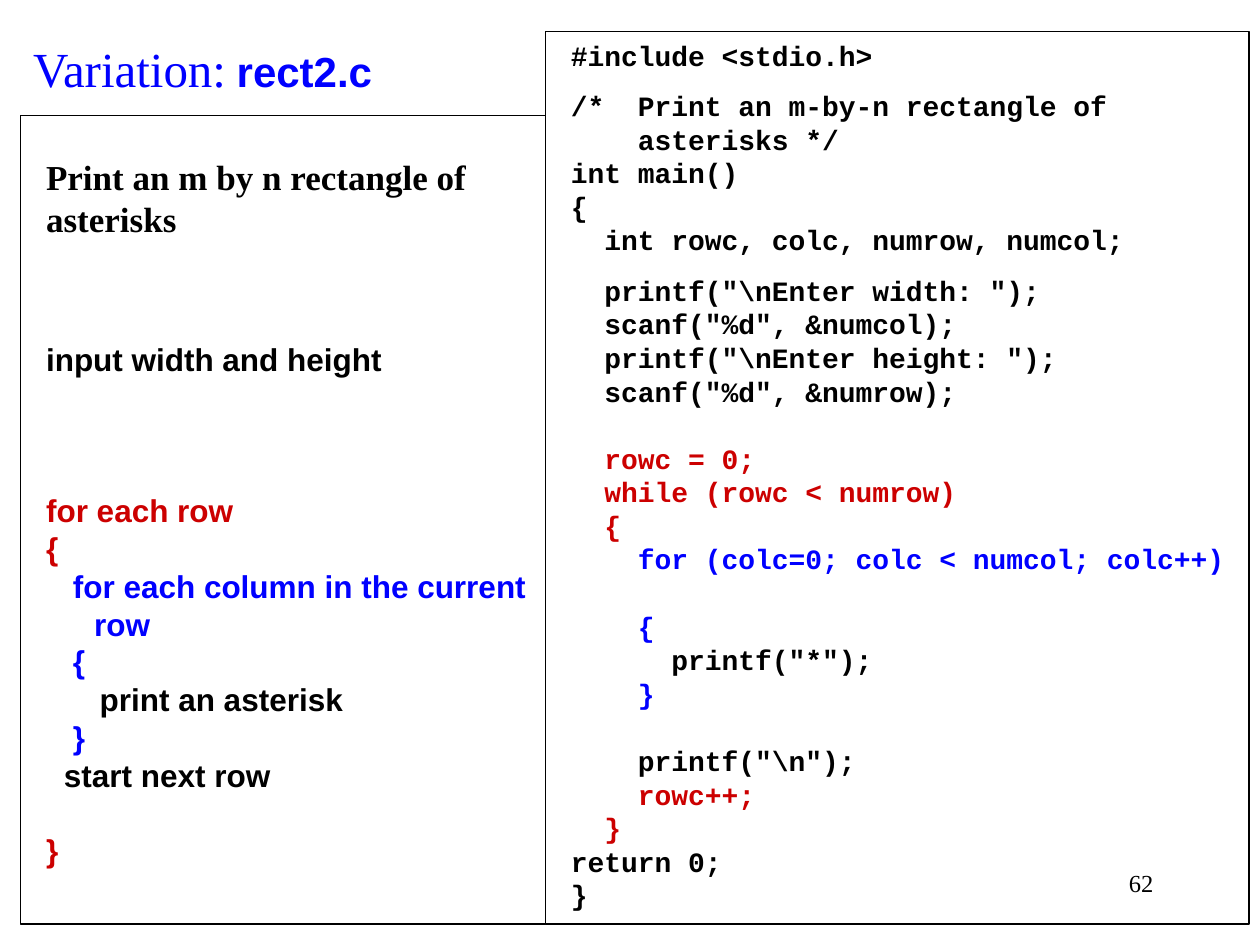
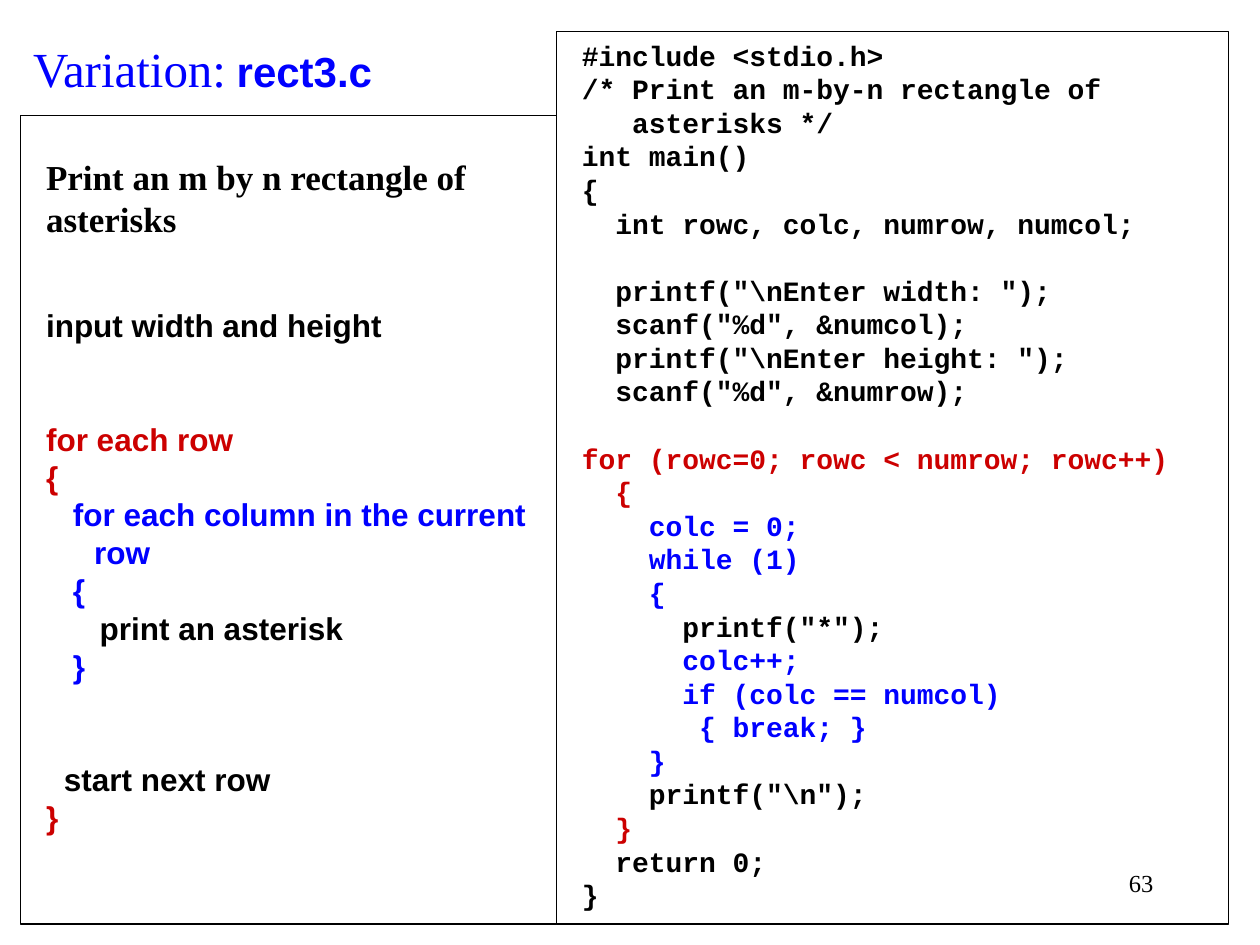
from pptx import Presentation
from pptx.dml.color import RGBColor
from pptx.enum.shapes import MSO_SHAPE
from pptx.enum.text import MSO_ANCHOR, PP_ALIGN
from pptx.util import Cm, Pt

COLOURS = {"ink": "000000", "outer": "CC0000", "inner": "0000FF"}
SERIF, SANS, MONO = "Times New Roman", "Arial", "Courier New"
LEADING = 1.2       # line height as a multiple of the text size
HANGING = 0.97      # cm
SPACE = 0.18        # cm, one step of pseudocode indentation
PANEL_LEFT, PANELS_BOTTOM = 0.42, 18.63
PANEL_TOP, CODE_TOP = 2.33, 0.64

# Pseudocode: gap name, indent steps, text, colour, font, size
PSEUDOCODE = [
    ("", 0, "Print an m by n rectangle of", "ink", SERIF, 20),
    ("", 0, "asterisks", "ink", SERIF, 20),
    ("input", 0, "input width and height", "ink", SANS, 18),
    ("rows", 0, "for each row", "outer", SANS, 18),
    ("", 0, "{", "outer", SANS, 18),
    ("", 3, "for each column in the current row", "inner", SANS, 18),
    ("", 3, "{", "inner", SANS, 18),
    ("", 6, "print an asterisk", "ink", SANS, 18),
    ("", 3, "}", "inner", SANS, 18),
    ("next", 2, "start next row", "ink", SANS, 18),
    ("end", 0, "}", "outer", SANS, 18),
]

# Code lines: text, colour, gap above in lines
INPUT_CODE = [
    ("  scanf(\"%d\", &numcol);", "ink", 0),
    ("  printf(\"\\nEnter height: \");", "ink", 0),
    ("  scanf(\"%d\", &numrow);", "ink", 0),
]
MAIN_CODE = [
    ("int main()", "ink", 0),
    ("{", "ink", 0),
    ("  int rowc, colc, numrow, numcol;", "ink", 0),
]
WIDTH_PROMPT = "  printf(\"\\nEnter width: \");"

RECT2_CODE = [
    ("#include <stdio.h>", "ink", 0),
    ("/*  Print an m-by-n rectangle of", "ink", 0.5),
    ("    asterisks */", "ink", 0),
    *MAIN_CODE,
    (WIDTH_PROMPT, "ink", 0.5),
    *INPUT_CODE,
    ("  rowc = 0;", "outer", 1),
    ("  while (rowc < numrow)", "outer", 0),
    ("  {", "outer", 0),
    ("    for (colc=0; colc < numcol; colc++)", "inner", 0),
    ("    {", "inner", 1),
    ("      printf(\"*\");", "ink", 0),
    ("    }", "inner", 0),
    ("    printf(\"\\n\");", "ink", 1),
    ("    rowc++;", "outer", 0),
    ("  }", "outer", 0),
    ("return 0;", "ink", 0),
    ("}", "ink", 0),
]
RECT3_CODE = [
    ("#include <stdio.h>", "ink", 0),
    ("/* Print an m-by-n rectangle of", "ink", 0),
    ("   asterisks */", "ink", 0),
    *MAIN_CODE,
    (WIDTH_PROMPT, "ink", 1),
    *INPUT_CODE,
    ("for (rowc=0; rowc < numrow; rowc++)", "outer", 1),
    ("  {", "outer", 0),
    ("    colc = 0;", "inner", 0),
    ("    while (1)", "inner", 0),
    ("    {", "inner", 0),
    ("      printf(\"*\");", "ink", 0),
    ("      colc++;", "inner", 0),
    ("      if (colc == numcol)", "inner", 0),
    ("       { break; }", "inner", 0),
    ("    }", "inner", 0),
    ("    printf(\"\\n\");", "ink", 0),
    ("  }", "outer", 0),
    ("  return 0;", "ink", 0),
    ("}", "ink", 0),
]

# Pages: file, number, code left and width in cm, code, pseudocode gaps in points
PAGES = [
    ("rect2.c", "62", 11, 14.18, RECT2_CODE,
     {"input": 57.6, "rows": 64.8, "end": 21.6}),
    ("rect3.c", "63", 11.22, 13.55, RECT3_CODE,
     {"input": 38.4, "rows": 43.2, "next": 43.2}),
]


def add_box(page, left, top, width, height, framed=False, inset_top=0.13):
    """Add a framed panel or a plain text box and return its text frame."""
    area = Cm(left), Cm(top), Cm(width), Cm(height)
    if framed:
        box = page.shapes.add_shape(MSO_SHAPE.RECTANGLE, *area)
        box.shadow.inherit = False
        box.fill.background()
        box.line.color.rgb = RGBColor.from_string(COLOURS["ink"])
        box.line.width = Pt(0.75)
    else:
        box = page.shapes.add_textbox(*area)
    frame = box.text_frame
    frame.word_wrap = True
    frame.vertical_anchor = MSO_ANCHOR.TOP
    frame.margin_left = Cm(0.51 if framed else 0.25)
    frame.margin_right = Cm(0.25)
    frame.margin_top = Cm(inset_top)
    frame.margin_bottom = Cm(0.13)
    return frame


def add_line(frame, spans, gap=0, indent=None, align=PP_ALIGN.LEFT):
    """Add a paragraph of (text, font, size, colour, bold) spans."""
    para = frame.paragraphs[0]
    if para.runs:
        para = frame.add_paragraph()
    para.alignment = align
    para.line_spacing = Pt(LEADING * max(size for _, _, size, _, _ in spans))
    if gap:
        para.space_before = Pt(gap)
    if indent is not None:
        properties = para._p.get_or_add_pPr()
        properties.set("marL", str(Cm(HANGING)))
        properties.set("indent", str(Cm(indent - HANGING)))
    for text, font, size, colour, bold in spans:
        span = para.add_run()
        span.text = text
        span.font.name = font
        span.font.size = Pt(size)
        span.font.bold = bold
        span.font.color.rgb = RGBColor.from_string(COLOURS[colour])


deck = Presentation()
deck.slide_width, deck.slide_height = Cm(25.4), Cm(19.05)

for file_name, number, code_left, code_width, code, gaps in PAGES:
    page = deck.slides.add_slide(deck.slide_layouts[6])

    # Code panel
    frame = add_box(page, code_left, CODE_TOP, code_width,
                    PANELS_BOTTOM - CODE_TOP, framed=True)
    for text, colour, blank_lines in code:
        add_line(frame, [(text, MONO, 16, colour, True)],
                 gap=blank_lines * 16 * LEADING, indent=0)

    # Title
    frame = add_box(page, PANEL_LEFT, CODE_TOP, 8.26, 1.45)
    add_line(frame, [("Variation:", SERIF, 28, "inner", False),
                     (" ", SERIF, 24, "inner", False),
                     (file_name, SANS, 24, "inner", True)])

    # Pseudocode panel, which ends where the code panel starts
    frame = add_box(page, PANEL_LEFT, PANEL_TOP, code_left - PANEL_LEFT,
                    PANELS_BOTTOM - PANEL_TOP, framed=True, inset_top=0.8)
    for gap_name, steps, text, colour, font, size in PSEUDOCODE:
        add_line(frame, [(text, font, size, colour, True)],
                 gap=gaps.get(gap_name, 0), indent=steps * SPACE)

    # Page number
    frame = add_box(page, 18.21, 17.36, 5.29, 1.27)
    add_line(frame, [(number, SERIF, 14, "ink", False)], align=PP_ALIGN.RIGHT)

deck.save("out.pptx")
